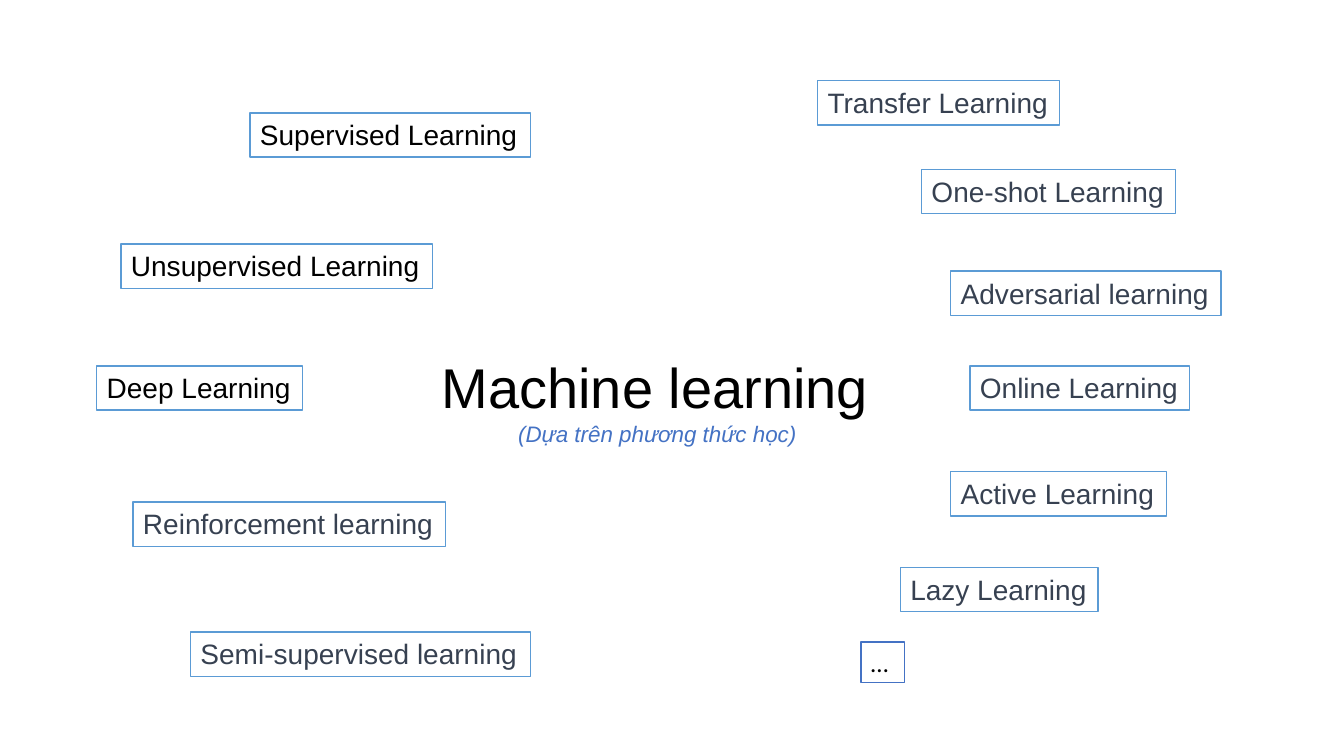
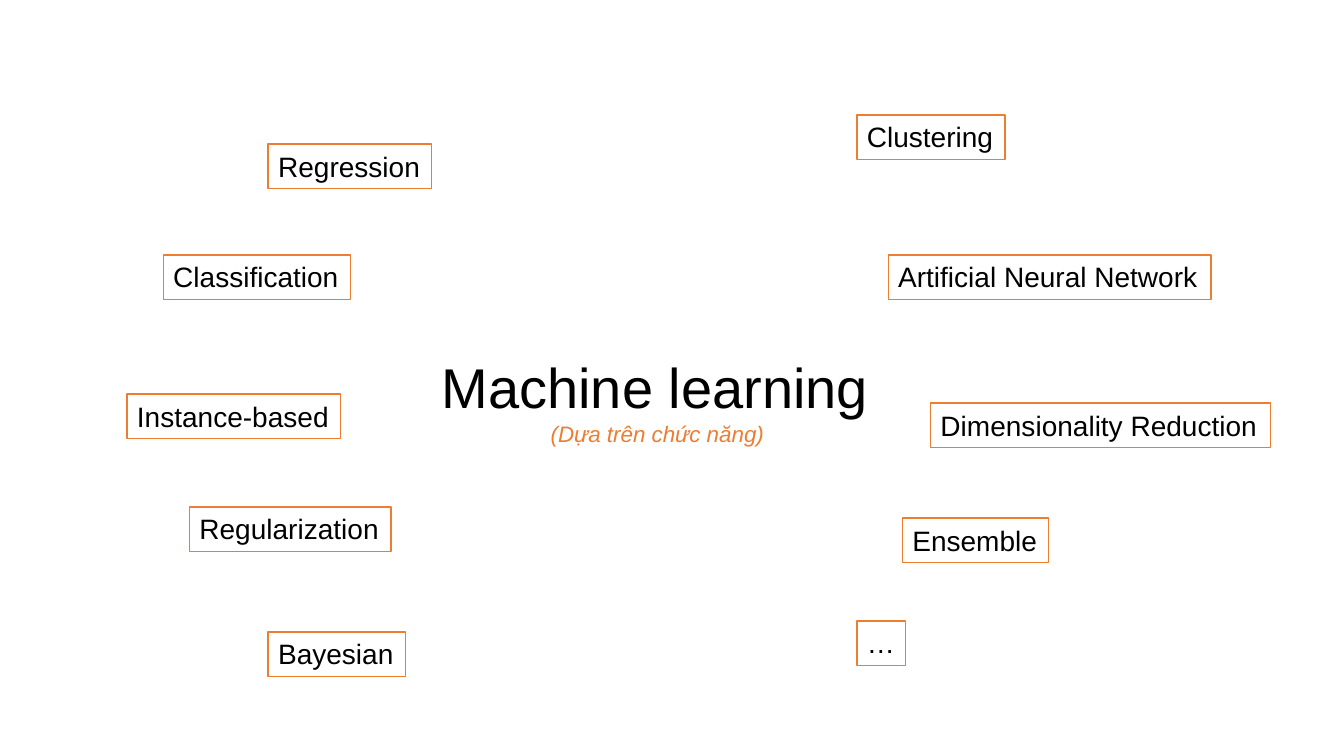
from pptx import Presentation
from pptx.dml.color import RGBColor
from pptx.enum.shapes import MSO_SHAPE
from pptx.enum.text import MSO_ANCHOR, MSO_AUTO_SIZE, PP_ALIGN
from pptx.util import Inches, Pt

COLORS = {
    "black": "000000",
    "white": "FFFFFF",
    "slate": "374151",
    "sky": "5B9BD5",
    "blue": "4472C4",
    "orange": "ED7D31",
}
FRAME = {
    "word_wrap": False,
    "auto_size": MSO_AUTO_SIZE.SHAPE_TO_FIT_TEXT,
    "vertical_anchor": MSO_ANCHOR.TOP,
}
BOX_HEIGHT = 0.44


def rgb(name):
    return RGBColor.from_string(COLORS[name])


class Deck:
    def __init__(self):
        self.prs = Presentation()
        self.prs.slide_width = Inches(13.33)
        self.prs.slide_height = Inches(7.5)
        self.s = None

    def add_slide(self):
        self.s = self.prs.slides.add_slide(self.prs.slide_layouts[5])

    def frame(self, sp):
        for name, value in FRAME.items():
            setattr(sp.text_frame, name, value)
        return sp.text_frame

    def add_text(self, p, text, size, color, align=PP_ALIGN.LEFT, font="Arial", italic=False):
        p.alignment = align
        r = p.add_run()
        r.text = text
        values = {"name": font, "size": Pt(size), "italic": italic}
        for name, value in values.items():
            setattr(r.font, name, value)
        r.font.color.rgb = rgb(color)

    def title(self, text, subtitle, color):
        sp = self.s.shapes.title
        place = {"left": 4.28, "top": 3.45, "width": 4.48, "height": 1.04}
        for name, value in place.items():
            setattr(sp, name, Inches(value))
        tf = self.frame(sp)
        self.add_text(tf.paragraphs[0], text, 40, "black")
        self.add_text(tf.add_paragraph(), subtitle, 16, color, PP_ALIGN.CENTER, italic=True)

    def box(self, text, left, top, width, line, color="black",
            height=BOX_HEIGHT, size=20, font="Arial"):
        sp = self.s.shapes.add_shape(
            MSO_SHAPE.RECTANGLE, Inches(left), Inches(top), Inches(width), Inches(height))
        sp.shadow.inherit = False
        sp.fill.solid()
        sp.fill.fore_color.rgb = rgb("white")
        sp.line.color.rgb = rgb(line)
        sp.line.width = Pt(1)
        self.add_text(self.frame(sp).paragraphs[0], text, size, color, font=font)


MAIN_METHODS = [
    ("Supervised Learning", 2.48, 1.12, 2.78),
    ("Unsupervised Learning", 1.2, 2.42, 3.09),
    ("Deep Learning", 0.96, 3.63, 2.04),
]
OTHER_METHODS = [
    ("Reinforcement learning", 1.32, 4.98, 3.1),
    ("Semi-supervised learning", 1.89, 6.27, 3.37),
    ("Transfer Learning", 8.11, 0.8, 2.4),
    ("One-shot Learning", 9.14, 1.68, 2.52),
    ("Adversarial learning", 9.43, 2.69, 2.68),
    ("Online Learning", 9.62, 3.63, 2.18),
    ("Active Learning", 9.43, 4.68, 2.14),
    ("Lazy Learning", 8.93, 5.63, 1.96),
]
FUNCTIONS = [
    ("Regression", 2.66, 1.43, 1.62),
    ("Classification", 1.62, 2.53, 1.86),
    ("Instance-based", 1.26, 3.91, 2.12),
    ("Regularization", 1.88, 5.03, 2),
    ("Bayesian", 2.66, 6.27, 1.36),
    ("Clustering", 8.5, 1.14, 1.47),
    ("Artificial Neural Network", 8.81, 2.53, 3.2),
    ("Dimensionality Reduction", 9.23, 4, 3.37),
    ("Ensemble", 8.95, 5.14, 1.45),
    ("…", 8.5, 6.16, 0.48),
]
TITLE = "Machine learning"

deck = Deck()

deck.add_slide()
deck.title(TITLE, "(Dựa trên phương thức học)", "blue")
for method in MAIN_METHODS:
    deck.box(*method, line="sky")
for method in OTHER_METHODS:
    deck.box(*method, line="sky", color="slate")
deck.box("… ", 8.54, 6.37, 0.43, line="blue", height=0.4, size=18, font="Calibri")

deck.add_slide()
deck.title(TITLE, "(Dựa trên chức năng)", "orange")
for function in FUNCTIONS:
    deck.box(*function, line="orange")

deck.prs.save("out.pptx")
